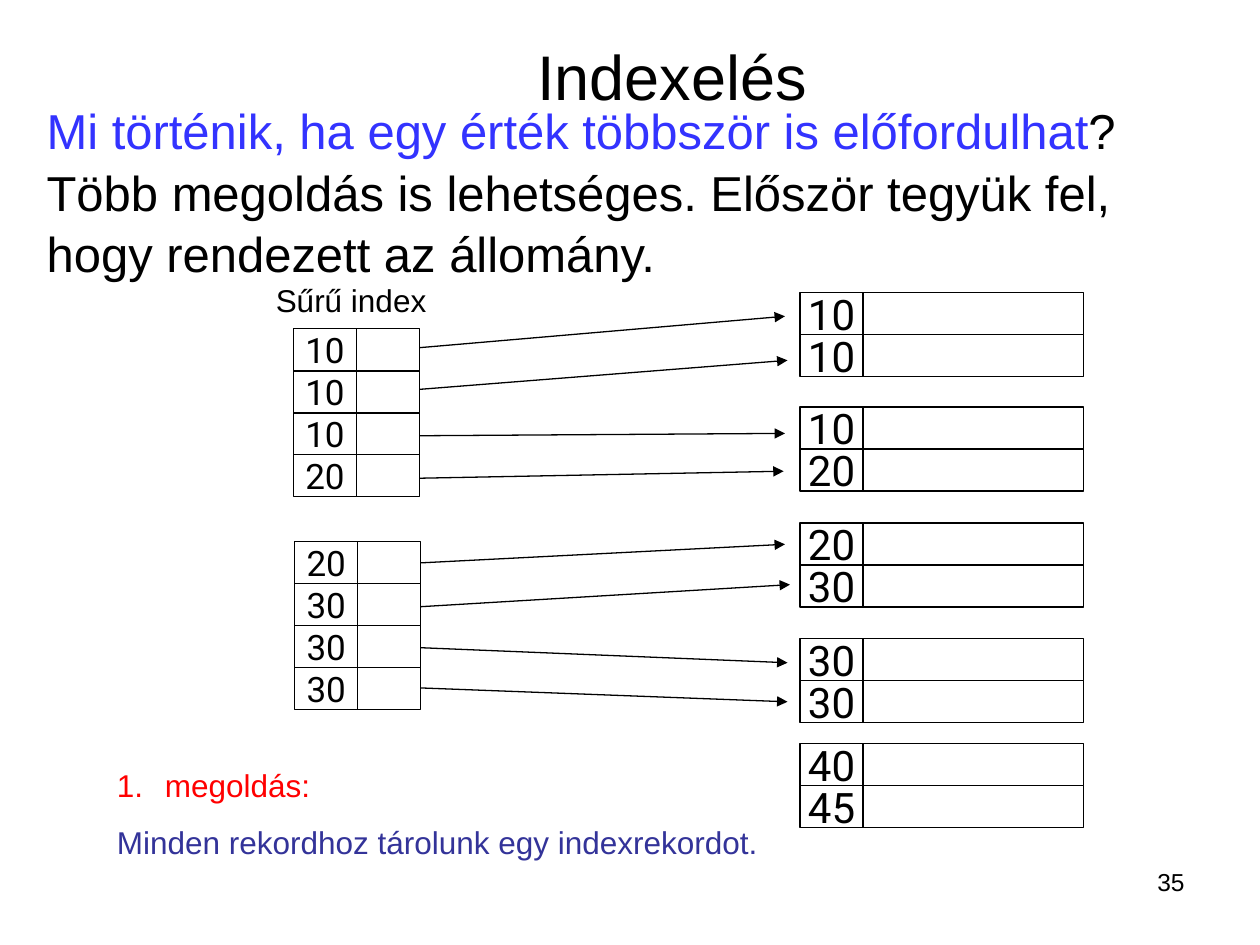
from lxml.etree import SubElement
from pptx import Presentation
from pptx.dml.color import RGBColor
from pptx.enum.shapes import MSO_CONNECTOR, MSO_SHAPE
from pptx.enum.text import MSO_ANCHOR, MSO_AUTO_SIZE, PP_ALIGN
from pptx.oxml.ns import qn
from pptx.util import Inches, Pt

COLORS = {"black": "000000", "white": "FFFFFF", "blue": "3333FF",
          "navy": "333399", "red": "FF0000"}
ROW_H = 1 / 3
KEY_W = 0.5
LINE_W = 0.74

INDEX_BLOCKS = [(2.33, 2.61, ["10", "10", "10", "20"]),
                (2.34, 4.3, ["20", "30", "30", "30"])]
DATA_BLOCKS = [(2.32, ["10", "10"]), (3.23, ["10", "20"]), (4.15, ["20", "30"]),
               (5.07, ["30", "30"]), (5.9, ["40", "45"])]
ARROWS = [(3.09, 2.78, 6.23, 2.51), (3.08, 3.11, 6.25, 2.86),
          (3.08, 3.46, 6.23, 3.44), (3.09, 3.8, 6.22, 3.74),
          (3.09, 4.48, 6.23, 4.32), (3.09, 4.83, 6.27, 4.64),
          (3.08, 5.13, 6.25, 5.26), (3.08, 5.45, 6.25, 5.57)]


def rgb(name):
    """Look up a colour of the palette."""
    return RGBColor.from_string(COLORS[name])


def add_text(p, text, size=18, font="Arial", color="black", align=PP_ALIGN.LEFT,
             before=0):
    """Append formatted text to a paragraph; newlines become line breaks."""
    p.alignment = align
    p.space_before = Pt(before)
    for i, part in enumerate(text.split("\n")):
        if i:
            p.add_line_break()
        r = p.add_run()
        r.text = part
        r.font.size = Pt(size)
        r.font.name = font
        r.font.color.rgb = rgb(color)


def add_box(s, x, y, w, h, anchor=MSO_ANCHOR.TOP):
    """Add a wrapping text box and return its text frame."""
    tf = s.shapes.add_textbox(Inches(x), Inches(y), Inches(w), Inches(h)).text_frame
    tf.word_wrap = True
    tf.vertical_anchor = anchor
    return tf


def add_cell(shapes, x, y, w, text="", size=20):
    """Add one outlined field of a record."""
    sp = shapes.add_shape(MSO_SHAPE.RECTANGLE, Inches(x), Inches(y),
                          Inches(w), Inches(ROW_H))
    sp.shadow.inherit = False
    sp.fill.solid()
    sp.fill.fore_color.rgb = rgb("white")
    sp.line.color.rgb = rgb("black")
    sp.line.width = Pt(LINE_W)
    if text:
        tf = sp.text_frame
        tf.word_wrap = False
        tf.vertical_anchor = MSO_ANCHOR.MIDDLE
        add_text(tf.paragraphs[0], text, size=size, font="Roboto",
                 align=PP_ALIGN.CENTER)


def add_block(s, x, y, keys, value_w, size):
    """Add a grouped block of records, each a key and an empty field."""
    shapes = s.shapes.add_group_shape().shapes
    for i, key in enumerate(keys):
        row_y = y + i * ROW_H
        add_cell(shapes, x, row_y, KEY_W, key, size)
        add_cell(shapes, x + KEY_W, row_y, value_w)


def add_arrow(s, x1, y1, x2, y2):
    """Add a thin line with a triangular head at its end."""
    c = s.shapes.add_connector(MSO_CONNECTOR.STRAIGHT, Inches(x1), Inches(y1),
                               Inches(x2), Inches(y2))
    c.line.color.rgb = rgb("black")
    c.line.width = Pt(LINE_W)
    SubElement(c.line._get_or_add_ln(), qn("a:tailEnd"), type="triangle")
    SubElement(c._element.spPr, qn("a:effectLst"))


def set_hanging(p, numbered=False):
    """Give a paragraph a hanging indent, with a red number if wanted."""
    pPr = p._p.get_or_add_pPr()
    pPr.set("marL", str(Inches(0.38)))
    pPr.set("indent", str(-Inches(0.38)))
    if numbered:
        clr = SubElement(pPr, qn("a:buClr"))
        SubElement(clr, qn("a:srgbClr"), val=COLORS["red"])
        SubElement(pPr, qn("a:buFont"), typeface="Arial")
        SubElement(pPr, qn("a:buAutoNum"), type="arabicPeriod")


def add_question(s):
    """Fill the title placeholder with the question and its answer."""
    sp = s.shapes.title
    sp.left, sp.top, sp.width, sp.height = map(Inches, (0.27, 1, 9.37, 1.02))
    tf = sp.text_frame
    tf.auto_size = MSO_AUTO_SIZE.NONE
    tf.word_wrap = True
    tf.vertical_anchor = MSO_ANCHOR.MIDDLE
    p = tf.paragraphs[0]
    p.line_spacing = 1.04
    add_text(p, "Mi történik, ha egy érték többször is előfordulhat",
             size=28, color="blue")
    add_text(p, "?\nTöbb megoldás is lehetséges. Először tegyük fel, "
                "hogy rendezett az állomány.", size=28)


def add_solution(s):
    """Add the numbered solution and its explanation."""
    tf = add_box(s, 0.83, 6.03, 5.75, 0.86)
    p = tf.paragraphs[0]
    add_text(p, "megoldás:", color="red", before=11.2)
    set_hanging(p, numbered=True)
    p = tf.add_paragraph()
    add_text(p, "Minden rekordhoz tárolunk egy indexrekordot.", color="navy",
             before=11.2)
    set_hanging(p)


def main():
    """Build the slide and save it."""
    prs = Presentation()
    prs.slide_width, prs.slide_height = Inches(10), Inches(7.5)
    s = prs.slides.add_slide(prs.slide_layouts[5])

    add_question(s)
    tf = add_box(s, 7.17, 6.83, 2.33, 0.52)
    add_text(tf.paragraphs[0], "35", size=14, align=PP_ALIGN.RIGHT)
    for ends in ARROWS:
        add_arrow(s, *ends)
    for y, keys in DATA_BLOCKS:
        add_block(s, 6.35, y, keys, value_w=1.75, size=24)
    for x, y, keys in INDEX_BLOCKS:
        add_block(s, x, y, keys, value_w=KEY_W, size=20)
    tf = add_box(s, 3.5, 0.21, 3.67, 0.77, MSO_ANCHOR.MIDDLE)
    add_text(tf.paragraphs[0], "Indexelés", size=36, align=PP_ALIGN.CENTER)
    add_solution(s)
    tf = add_box(s, 2.09, 2.18, 2.05, 0.4)
    add_text(tf.paragraphs[0], "Sűrű index", before=11.2)

    prs.save("out.pptx")


main()
